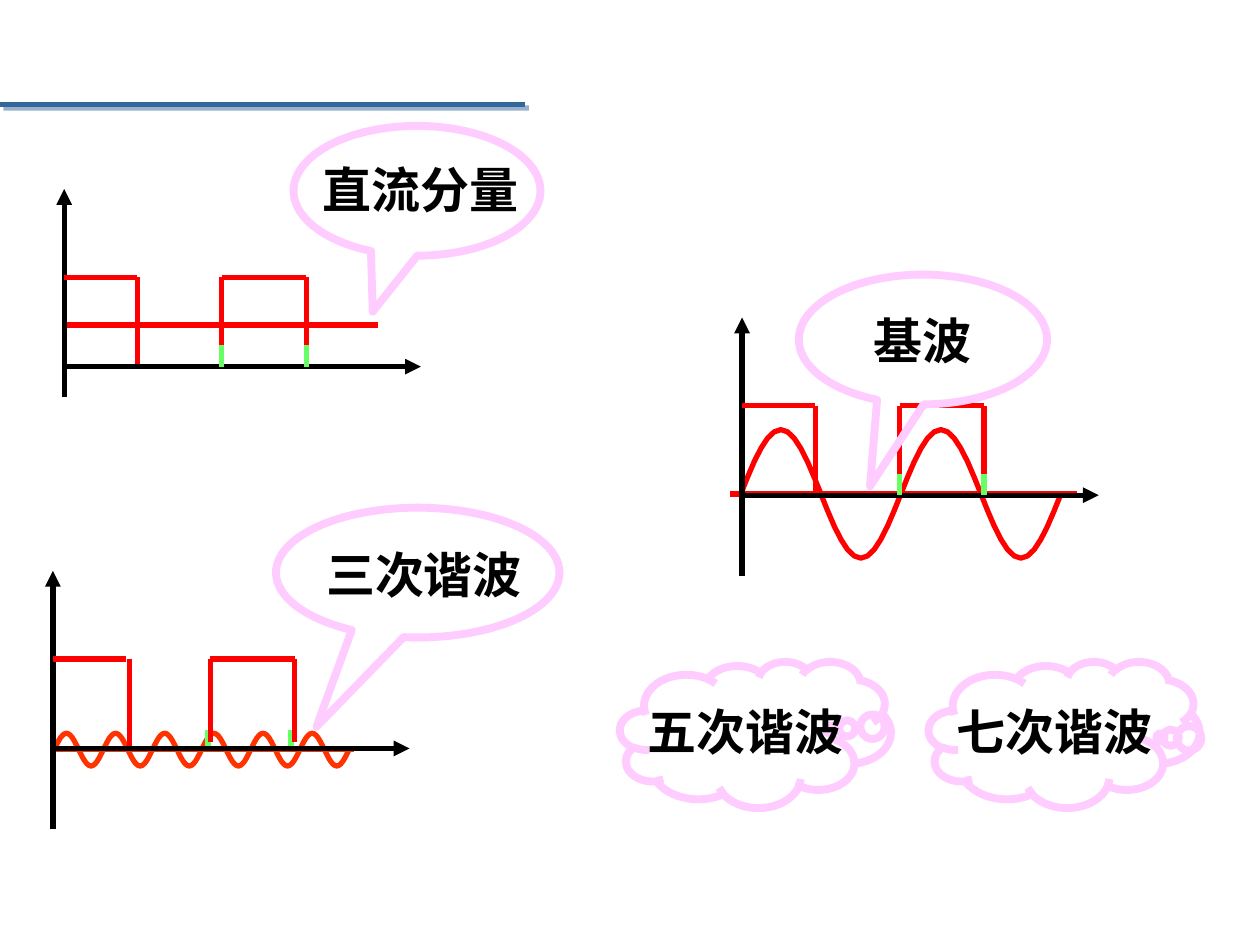
from dataclasses import dataclass
from math import pi, sin

from lxml.etree import SubElement
from pptx import Presentation
from pptx.dml.color import RGBColor
from pptx.enum.shapes import MSO_CONNECTOR, MSO_SHAPE
from pptx.enum.text import MSO_ANCHOR, PP_ALIGN
from pptx.oxml.ns import qn
from pptx.util import Inches, Pt

BLACK = RGBColor(0x00, 0x00, 0x00)
RED = RGBColor(0xFF, 0x00, 0x00)
ORANGE = RGBColor(0xFF, 0x33, 0x00)
GREEN = RGBColor(0x66, 0xFF, 0x66)
PINK = RGBColor(0xFF, 0xCC, 0xFF)
BLUE = RGBColor(0x33, 0x66, 0x99)
FONT = "Noto Sans CJK SC"
HALF_WAVE_STEPS = 12


@dataclass(frozen=True)
class Wave:
    left: float
    baseline: float
    period: float
    amplitude: float
    cycles: int
    lead: float
    segment: float
    color: RGBColor


@dataclass(frozen=True)
class PulsePlot:
    left: float
    baseline: float
    below: float
    fall: float = 0.58
    green_marks: bool = True


@dataclass(frozen=True)
class Callout:
    kind: MSO_SHAPE
    left: float
    top: float
    width: float
    height: float
    tail: tuple[float, float]
    text: str = ""


@dataclass(frozen=True)
class Label:
    text: str
    left: float
    top: float
    width: float
    wrap: bool = True


WAVES = [
    Wave(5.88, 3.92, 1.27, 0.51, 2, 0.09, 1.49, RED),
    Wave(0.43, 5.95, 0.39, 0.13, 6, 0.03, 0.46, ORANGE),
]
PLOTS = [
    PulsePlot(0.51, 2.91, 0.24),
    PulsePlot(5.89, 3.93, 0.64),
    PulsePlot(0.42, 5.94, 0.64, fall=0.61, green_marks=False),
]
OVAL = MSO_SHAPE.OVAL_CALLOUT
CLOUD = MSO_SHAPE.CLOUD_CALLOUT
CALLOUTS = [
    Callout(OVAL, 6.34, 2.18, 1.97, 1.03, (-0.213, 1.131), "基波"),
    Callout(OVAL, 2.33, 1, 1.96, 1.03, (-0.179, 0.931)),
    Callout(OVAL, 2.19, 4.03, 2.25, 1.03, (-0.357, 1.188)),
    Callout(CLOUD, 4.92, 5.25, 2.15, 1.16, (0.275, -0.034), "五次谐波"),
    Callout(CLOUD, 7.37, 5.25, 2.15, 1.16, (0.356, 0.02), "七次谐波"),
]
LABELS = [
    Label("直流分量", 2.46, 1.22, 1.83),
    Label("三次谐波", 2.49, 4.27, 1.76, wrap=False),
]


def add_line(slide, start: tuple[float, float], end: tuple[float, float],
             color: RGBColor, arrow: bool = False):
    line = slide.shapes.add_connector(
        MSO_CONNECTOR.STRAIGHT, *(Inches(value) for value in start + end))
    line.line.color.rgb = color
    line.line.width = Pt(3)
    properties = line._element.spPr
    if arrow:
        SubElement(properties.find(qn("a:ln")), qn("a:tailEnd"), type="triangle")
    SubElement(properties, qn("a:effectLst"))
    return line


def add_title_rule(slide) -> None:
    rule = add_line(slide, (0, 0.83), (4.17, 0.83), BLUE)
    effects = rule._element.spPr.find(qn("a:effectLst"))
    shadow = SubElement(effects, qn("a:outerShdw"), dist=str(Pt(2.8)),
                        dir="2700000", algn="ctr", rotWithShape="0")
    color = SubElement(shadow, qn("a:srgbClr"), val=str(BLUE))
    SubElement(color, qn("a:alpha"), val="50000")


def add_wave(slide, wave: Wave) -> None:
    half = wave.period / 2
    for index in range(wave.cycles * 2):
        left = wave.left + index * half
        if index % 2 == 0:
            start = left - wave.lead
            add_line(slide, (start, wave.baseline),
                     (start + wave.segment, wave.baseline), wave.color)
        direction = -1 if index % 2 == 0 else 1
        points = [
            (Inches(left + half * step / HALF_WAVE_STEPS),
             Inches(wave.baseline + direction * wave.amplitude
                    * sin(pi * step / HALF_WAVE_STEPS)))
            for step in range(HALF_WAVE_STEPS + 1)
        ]
        builder = slide.shapes.build_freeform(*points[0])
        builder.add_line_segments(points[1:], close=False)
        shape = builder.convert_to_shape()
        shape.shadow.inherit = False
        shape.fill.background()
        shape.line.color.rgb = wave.color
        shape.line.width = Pt(3)


def add_green_marks(slide, positions: list[float], baseline: float) -> None:
    for position in positions:
        add_line(slide, (position, baseline - 0.17), (position, baseline), GREEN)


def add_plot(slide, plot: PulsePlot) -> None:
    left, base = plot.left, plot.baseline
    high, low = base - 0.71, base - 0.05
    fall, rise, second_fall = left + plot.fall, left + 1.25, left + 1.92
    add_line(slide, (left, base + plot.below), (left, base - 1.41), BLACK, arrow=True)
    edges = [
        ((left, high), (left + 0.58, high)),
        ((fall, high), (fall, base)),
        ((rise, low), (rise, high)),
        ((rise, high), (second_fall, high)),
        ((second_fall, high), (second_fall, low)),
    ]
    for start, end in edges:
        add_line(slide, start, end, RED)
    add_line(slide, (left, base), (left + 2.83, base), BLACK, arrow=True)
    if plot.green_marks:
        add_green_marks(slide, [rise, second_fall], base)


def add_run(paragraph, text: str) -> None:
    run = paragraph.add_run()
    run.text = text
    run.font.size = Pt(28)
    run.font.bold = True
    run.font.name = FONT
    run.font.color.rgb = BLACK
    SubElement(run._r.get_or_add_rPr(), qn("a:ea"), typeface=FONT)


def add_callout(slide, callout: Callout) -> None:
    shape = slide.shapes.add_shape(
        callout.kind, Inches(callout.left), Inches(callout.top),
        Inches(callout.width), Inches(callout.height))
    shape.shadow.inherit = False
    shape.fill.background()
    shape.line.color.rgb = PINK
    shape.line.width = Pt(4.5)
    for index, value in enumerate(callout.tail):
        shape.adjustments[index] = value
    if callout.text:
        frame = shape.text_frame
        frame.word_wrap = False
        frame.vertical_anchor = MSO_ANCHOR.MIDDLE
        paragraph = frame.paragraphs[0]
        paragraph.alignment = PP_ALIGN.CENTER
        add_run(paragraph, callout.text)


def add_label(slide, label: Label) -> None:
    box = slide.shapes.add_textbox(
        Inches(label.left), Inches(label.top), Inches(label.width), Inches(0.57))
    box.text_frame.word_wrap = label.wrap
    add_run(box.text_frame.paragraphs[0], label.text)


def main() -> None:
    presentation = Presentation()
    presentation.slide_width = Inches(10)
    presentation.slide_height = Inches(7.5)
    slide = presentation.slides.add_slide(presentation.slide_layouts[6])
    add_title_rule(slide)
    add_line(slide, (0.5, 2.58), (3, 2.58), RED)
    for wave in WAVES:
        add_wave(slide, wave)
    add_green_marks(slide, [1.65, 2.31], 5.96)
    for plot in PLOTS:
        add_plot(slide, plot)
    for callout in CALLOUTS:
        add_callout(slide, callout)
    for label in LABELS:
        add_label(slide, label)
    presentation.save("out.pptx")


if __name__ == "__main__":
    main()
